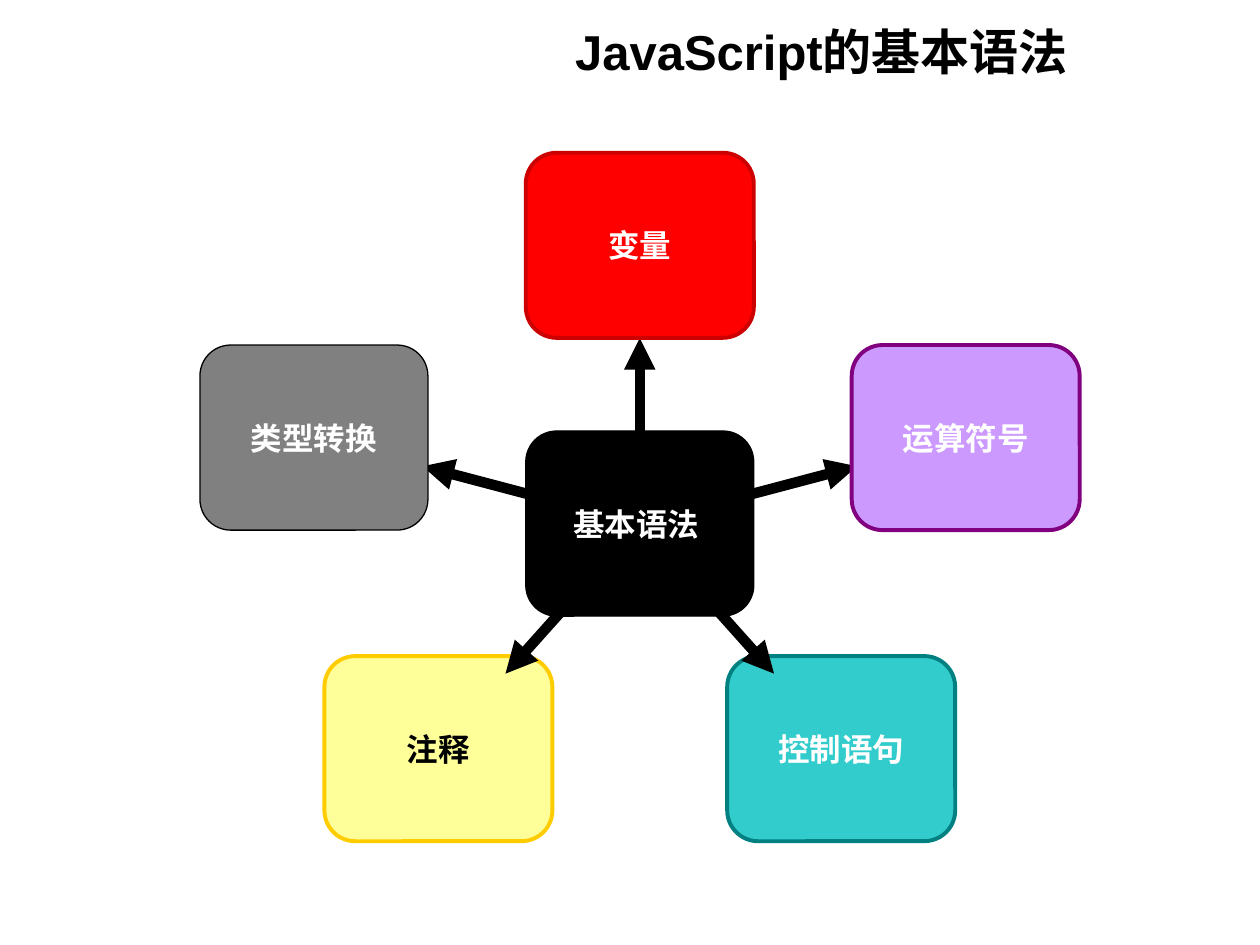
from math import cos, radians, sin

from lxml.etree import SubElement
from pptx import Presentation
from pptx.dml.color import RGBColor
from pptx.enum.shapes import MSO_CONNECTOR as Link, MSO_SHAPE as Shape
from pptx.enum.text import MSO_ANCHOR as Anchor, PP_ALIGN as Align
from pptx.oxml.ns import qn
from pptx.util import Pt

BLACK = RGBColor(0x00, 0x00, 0x00)
WHITE = RGBColor(0xFF, 0xFF, 0xFF)
GREY = RGBColor(0x80, 0x80, 0x80)
YELLOW = RGBColor(0xFF, 0xFF, 0x99)
GOLD = RGBColor(0xFF, 0xCC, 0x00)
AQUA = RGBColor(0x33, 0xCC, 0xCC)
TEAL = RGBColor(0x00, 0x80, 0x80)
LILAC = RGBColor(0xCC, 0x99, 0xFF)
PURPLE = RGBColor(0x80, 0x00, 0x80)
RED = RGBColor(0xFF, 0x00, 0x00)
CRIMSON = RGBColor(0xCC, 0x00, 0x00)

FONT = "Arial"
HUB_X, HUB_Y = 365.6, 299.2
RING_X, RING_Y = 195.8, 159
BOX_W, BOX_H = 130.3, 105.8

# label, fill, edge, edge width, text colour, angle from top, arrow above box
TOPICS = [
    ("类型转换", GREY, BLACK, 0.75, WHITE, -72, False),
    ("注释", YELLOW, GOLD, 2.25, BLACK, -144, True),
    ("控制语句", AQUA, TEAL, 2.25, WHITE, 144, True),
    ("运算符号", LILAC, PURPLE, 2.25, WHITE, 72, False),
    ("变量", RED, CRIMSON, 2.25, WHITE, 0, False),
]


def spot(angle, part=1):
    """Point at a part of the way from the hub to the ring of topics."""
    turn = radians(angle)
    return HUB_X + part * RING_X * sin(turn), HUB_Y - part * RING_Y * cos(turn)


def add_text(frame, text, size, color, align):
    frame.vertical_anchor = Anchor.MIDDLE
    para = frame.paragraphs[0]
    para.alignment = align
    run = para.add_run()
    run.text = text
    font = run.font
    font.name, font.size, font.bold = FONT, Pt(size), True
    font.color.rgb = color


def add_title(slide, text):
    box = slide.shapes.add_textbox(Pt(-31), Pt(-2), Pt(648), Pt(62.6))
    box.text_frame.word_wrap = True
    add_text(box.text_frame, text, 28, BLACK, Align.RIGHT)


def add_box(slide, mid, text, fill, edge, width, color):
    x, y = mid
    box = slide.shapes.add_shape(
        Shape.ROUNDED_RECTANGLE, Pt(x - BOX_W / 2), Pt(y - BOX_H / 2),
        Pt(BOX_W), Pt(BOX_H))
    box.shadow.inherit = False
    box.fill.solid()
    box.fill.fore_color.rgb = fill
    box.line.color.rgb = edge
    box.line.width = Pt(width)
    frame = box.text_frame
    frame.margin_left = frame.margin_right = 0
    frame.margin_top = frame.margin_bottom = 0
    add_text(frame, text, 18, color, Align.CENTER)


def add_arrow(slide, angle):
    """Arrow over the middle third of the way from hub to topic."""
    ends = spot(angle, 1 / 3) + spot(angle, 2 / 3)
    arrow = slide.shapes.add_connector(Link.STRAIGHT, *map(Pt, ends))
    arrow.line.color.rgb = BLACK
    arrow.line.width = Pt(6)
    SubElement(arrow.line._get_or_add_ln(), qn("a:tailEnd"), type="triangle")
    SubElement(arrow._element.spPr, qn("a:effectLst"))


def main():
    deck = Presentation()
    deck.slide_width, deck.slide_height = Pt(720), Pt(540)
    slide = deck.slides.add_slide(deck.slide_layouts[6])
    add_title(slide, "JavaScript的基本语法")
    for text, fill, edge, width, color, angle, above in TOPICS:
        if not above:
            add_arrow(slide, angle)
        add_box(slide, spot(angle), text, fill, edge, width, color)
        if above:
            add_arrow(slide, angle)
    add_box(slide, (HUB_X, HUB_Y), "基本语法 ", BLACK, BLACK, 0.75, WHITE)
    deck.save("out.pptx")


if __name__ == "__main__":
    main()
